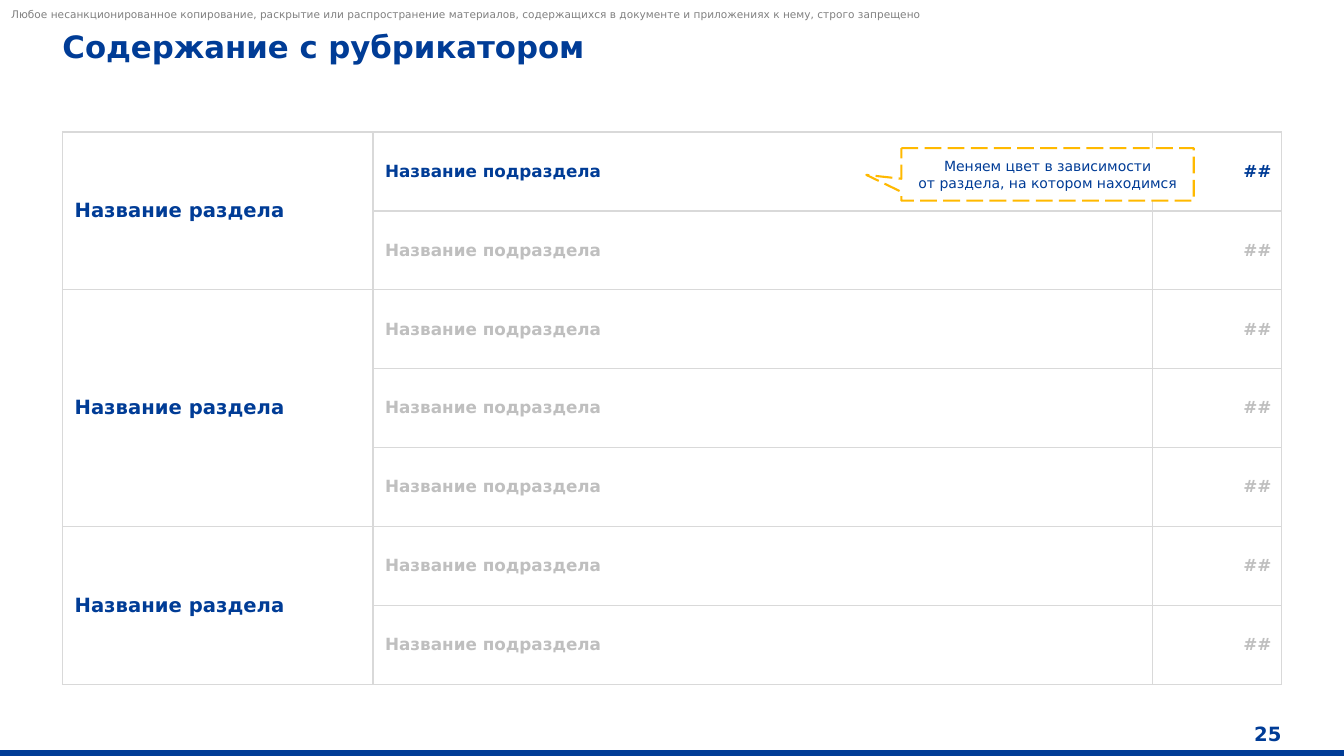
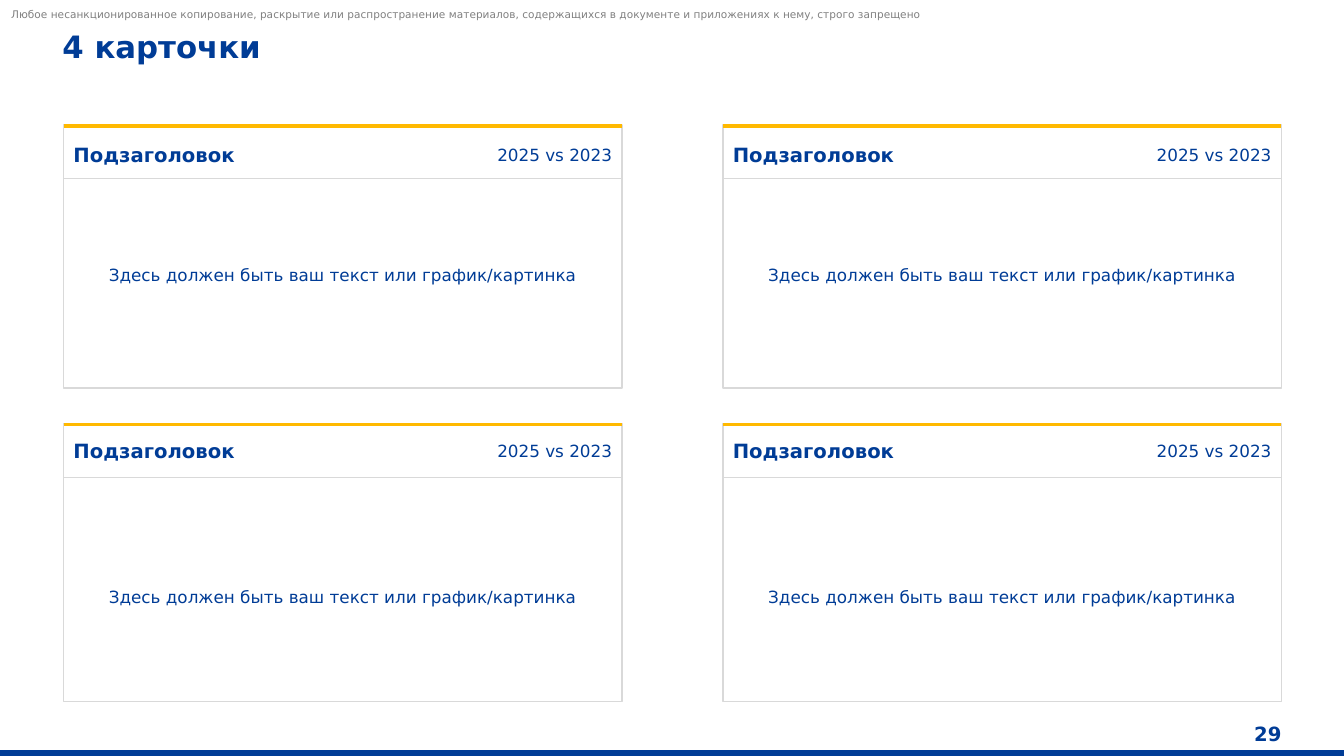
from lxml import etree
from pptx import Presentation
from pptx.dml.color import RGBColor
from pptx.enum import dml, shapes, text
from pptx.oxml import ns
from pptx.util import Inches, Pt


class Theme:
    font = "DejaVu Sans"
    blue = RGBColor(0x00, 0x3C, 0x96)
    amber = RGBColor(0xFF, 0xB9, 0x00)
    white = RGBColor(0xFF, 0xFF, 0xFF)
    note_gray = RGBColor(0x80, 0x80, 0x80)
    muted = RGBColor(0xBF, 0xBF, 0xBF)
    border = RGBColor(0xD9, 0xD9, 0xD9)
    title, heading, body, callout, note = Pt(22), Pt(14), Pt(12), Pt(10), Pt(7.5)


LEFT, CENTER, RIGHT = text.PP_ALIGN.LEFT, text.PP_ALIGN.CENTER, text.PP_ALIGN.RIGHT
TOP, MIDDLE, BOTTOM = text.MSO_ANCHOR.TOP, text.MSO_ANCHOR.MIDDLE, text.MSO_ANCHOR.BOTTOM


def write(frame, wording, size, color=Theme.blue, bold=False, align=LEFT):
    frame.text = wording
    for paragraph in frame.paragraphs:
        paragraph.alignment = align
        for run in paragraph.runs:
            run.font.name = Theme.font
            run.font.size = size
            run.font.bold = bold
            run.font.color.rgb = color


def add_text(slide, place, wording, size, anchor=TOP, inset=0, **style):
    frame = slide.shapes.add_textbox(*map(Inches, place)).text_frame
    frame.word_wrap = True
    frame.vertical_anchor = anchor
    frame.margin_left = frame.margin_right = Inches(inset)
    frame.margin_top = frame.margin_bottom = 0
    write(frame, wording, size, **style)


prs = Presentation()
prs.slide_width, prs.slide_height = Inches(13.33), Inches(7.5)
blank = prs.slide_layouts[6]

# Shared title, notice, page number and bottom band
slides = []
for title, page in (("Содержание с рубрикатором", "25"), ("4 карточки", "29")):
    slide = prs.slides.add_slide(blank)
    band = slide.shapes.add_shape(shapes.MSO_SHAPE.RECTANGLE, 0, Inches(7.45),
                                  prs.slide_width, Inches(0.05))
    band.shadow.inherit = False
    band.fill.solid()
    band.fill.fore_color.rgb = Theme.blue
    band.line.color.rgb = Theme.blue
    band.line.width = Pt(1)
    add_text(slide, (0.11, 0.07, 11.48, 0.13),
             "Любое несанкционированное копирование, раскрытие или распространение "
             "материалов, содержащихся в документе и приложениях к нему, строго запрещено",
             Theme.note, BOTTOM, color=Theme.note_gray)
    add_text(slide, (0.62, 0.28, 10.94, 0.37), title, Theme.title, bold=True)
    add_text(slide, (12.14, 7.16, 0.57, 0.24), page, Theme.heading, MIDDLE,
             bold=True, align=RIGHT)
    slides.append(slide)
contents_slide, cards_slide = slides

# Contents table: sections span their subsections
section_sizes = (2, 3, 2)
row_count = sum(section_sizes)
contents = contents_slide.shapes.add_table(
    row_count, 3, Inches(0.62), Inches(1.31), Inches(12.09), Inches(5.48)).table
contents.first_row = contents.horz_banding = False
for column, width in zip(contents.columns, (3.08, 7.73, 1.28)):
    column.width = Inches(width)

for row in range(row_count):
    color = Theme.blue if row == 0 else Theme.muted
    write(contents.cell(row, 1).text_frame, "Название подраздела", Theme.body, color, True)
    write(contents.cell(row, 2).text_frame, "##", Theme.body, color, True, RIGHT)

first_row = 0
for size in section_sizes:
    section = contents.cell(first_row, 0)
    section.merge(contents.cell(first_row + size - 1, 0))
    write(section.text_frame, "Название раздела", Theme.heading, bold=True)
    first_row += size

for cell in contents.iter_cells():
    cell.vertical_anchor = MIDDLE
    cell.margin_left = Inches(0.12)
    cell.fill.background()
    properties = cell._tc.get_or_add_tcPr()
    for position, side in enumerate(("lnL", "lnR", "lnT", "lnB")):
        edge = etree.Element(ns.qn(f"a:{side}"), w=str(Pt(1)))
        fill = etree.SubElement(edge, ns.qn("a:solidFill"))
        etree.SubElement(fill, ns.qn("a:srgbClr"), val=str(Theme.border))
        properties.insert(position, edge)

# Callout over the current subsection
callout = contents_slide.shapes.add_shape(
    shapes.MSO_SHAPE.RECTANGULAR_CALLOUT,
    Inches(8.94), Inches(1.47), Inches(2.9), Inches(0.52))
callout.adjustments[0], callout.adjustments[1] = -0.62, 0.01
callout.shadow.inherit = False
callout.fill.solid()
callout.fill.fore_color.rgb = Theme.white
callout.line.color.rgb = Theme.amber
callout.line.width = Pt(1.5)
callout.line.dash_style = dml.MSO_LINE.LONG_DASH
callout.text_frame.margin_left = callout.text_frame.margin_right = Inches(0.04)
callout.text_frame.vertical_anchor = MIDDLE
write(callout.text_frame, "Меняем цвет в зависимости\nот раздела, на котором находимся",
      Theme.callout, align=CENTER)

# Four cards: card top, height, heading top, divider, body top
card_width, period_width = 5.54, 3.31
card_rows = ((1.24, 2.61, 1.34, 1.77, 2.63), (4.2, 2.76, 4.28, 4.74, 5.82))
for top, height, heading_top, divider, body_top in card_rows:
    for left in (0.63, 7.17):
        right = left + card_width
        card = cards_slide.shapes.add_shape(
            shapes.MSO_SHAPE.RECTANGLE, Inches(left), Inches(top),
            Inches(card_width), Inches(height))
        card.shadow.inherit = False
        card.fill.background()
        card.line.color.rgb = Theme.border
        card.line.width = Pt(1)

        for y, color, weight in ((top + 0.01, Theme.amber, 2.25),
                                 (divider, Theme.border, 0.75)):
            rule = cards_slide.shapes.add_connector(
                shapes.MSO_CONNECTOR.STRAIGHT,
                Inches(left), Inches(y), Inches(right), Inches(y))
            rule.line.color.rgb = color
            rule.line.width = Pt(weight)
            etree.SubElement(rule._element.spPr, ns.qn("a:effectLst"))

        add_text(cards_slide, (left, heading_top, 3.94, 0.39), "Подзаголовок",
                 Theme.heading, MIDDLE, 0.1, bold=True)
        add_text(cards_slide, (right - period_width, heading_top, period_width, 0.39),
                 "2025 vs 2023", Theme.body, MIDDLE, 0.1, align=RIGHT)
        add_text(cards_slide, (left, body_top, card_width, 0.2),
                 "Здесь должен быть ваш текст или график/картинка",
                 Theme.body, align=CENTER)

prs.save("out.pptx")
